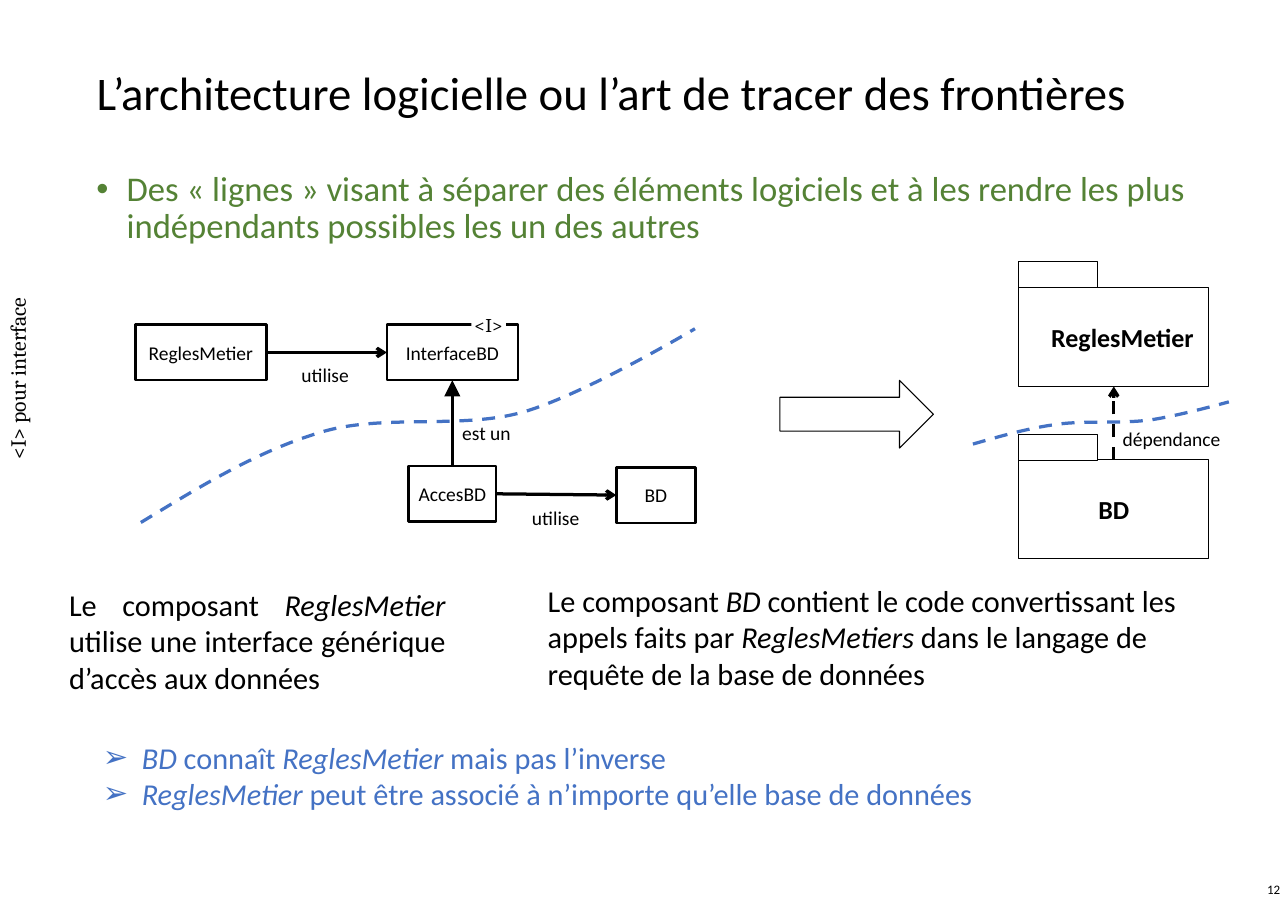
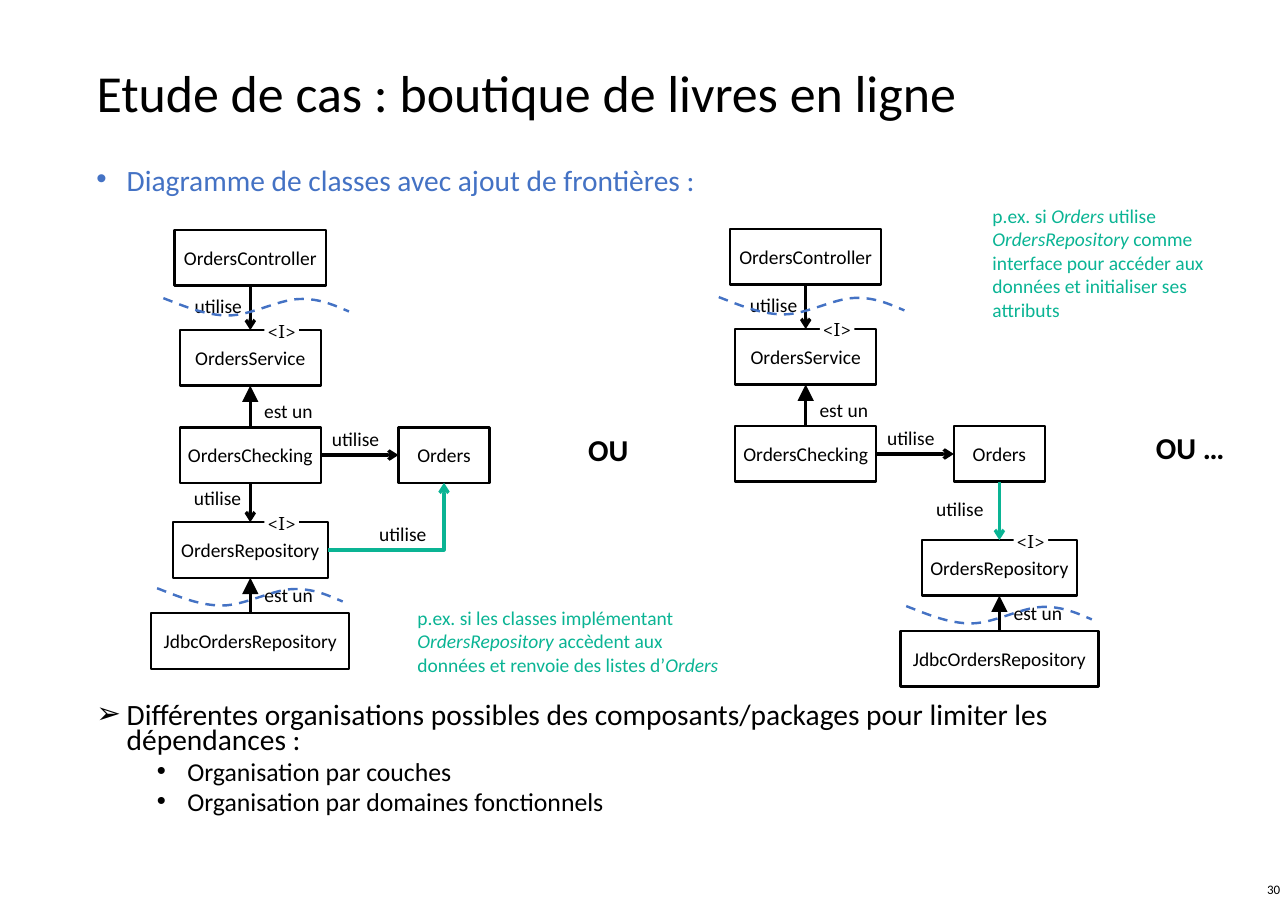
"""Builds two slides on software boundaries drawn as class diagrams."""
from pptx import Presentation
from pptx import util as u
from pptx.dml.color import RGBColor
from pptx.enum import dml, shapes, text
from pptx.oxml.ns import qn
from lxml import etree

COLOURS = {"black": "000000", "white": "FFFFFF", "green": "548235",
           "blue": "4472C4", "teal": "0AB494"}
LEFT, CENTRE, RIGHT, JUSTIFY = (text.PP_ALIGN.LEFT, text.PP_ALIGN.CENTER,
                                text.PP_ALIGN.RIGHT, text.PP_ALIGN.JUSTIFY)
MIDDLE = text.MSO_ANCHOR.MIDDLE
NO_MARGINS = dict.fromkeys(("margin_left", "margin_top", "margin_right", "margin_bottom"), 0)
TOP_SITE, LEFT_SITE, BOTTOM_SITE, RIGHT_SITE = range(4)
RISE = [(0, 1), (.11, .81), (.21, .63), (.33, .53), (.44, .44),
        (.58, .52), (.69, .43), (.8, .34), (1, 0), (1, 0)]
WAVE = [(0, 0), (.12, .5), (.23, 1), (.35, 1), (.47, 1),
        (.62, .09), (.73, .05), (.84, 0), (.92, .41), (1, .77)]


def write(shape, lines, size, colour="black", font=None, layout=None, frame=None, bullet=None):
    """Append paragraphs; asterisks enclose italics, bullet is (sign, margin, hang)."""
    text_frame = shape.text_frame
    for name, value in {"word_wrap": True, **(frame or {})}.items():
        setattr(text_frame, name, value)
    for line in lines:
        paragraph = text_frame.paragraphs[-1]
        if paragraph.runs:
            paragraph = text_frame.add_paragraph()
        for name, value in {"alignment": LEFT, **(layout or {})}.items():
            setattr(paragraph, name, value)
        if bullet:
            sign, margin, hang = bullet
            properties = paragraph._p.get_or_add_pPr()
            properties.set("marL", str(int(u.Pt(margin))))
            properties.set("indent", str(int(u.Pt(-hang))))
            etree.SubElement(properties, qn("a:buFont")).set("typeface", "Arial")
            etree.SubElement(properties, qn("a:buChar")).set("char", sign)
        for index, part in enumerate(line.split("*")):
            if part:
                run = paragraph.add_run()
                run.text = part
                values = {"name": "Calibri", "size": u.Pt(size), "italic": index % 2 == 1}
                for name, value in {**values, **(font or {})}.items():
                    setattr(run.font, name, value)
                run.font.color.rgb = RGBColor.from_string(COLOURS[colour])


def add_box(slide, left, top, width, height, line_width=0, kind=shapes.MSO_SHAPE.RECTANGLE):
    """Add a white shape, outlined in black when a line width is given."""
    shape = slide.shapes.add_shape(kind, *map(u.Pt, (left, top, width, height)))
    shape.shadow.inherit = False
    shape.fill.solid()
    shape.fill.fore_color.rgb = RGBColor.from_string(COLOURS["white"])
    if line_width:
        shape.line.color.rgb = RGBColor.from_string(COLOURS["black"])
        shape.line.width = u.Pt(line_width)
    else:
        shape.line.fill.background()
    return shape


presentation = Presentation()
presentation.slide_width, presentation.slide_height = u.Pt(1190.16), u.Pt(841.68)

slides = []
for title, size, number in [
    ("L’architecture logicielle ou l’art de tracer des frontières", 43.2, "12"),
    ("Etude de cas : boutique de livres en ligne", 48, "30"),
]:
    slide = presentation.slides.add_slide(presentation.slide_layouts[5])
    slides.append(slide)
    heading = slide.shapes.title
    heading.left, heading.top, heading.width, heading.height = map(u.Pt, (82, 44.6, 1026.7, 87.8))
    write(heading, [title], size, layout={"line_spacing": .9},
          frame={"vertical_anchor": MIDDLE, "auto_size": text.MSO_AUTO_SIZE.NONE})
    footer = slide.shapes.add_textbox(*map(u.Pt, (922.3, 799.2, 267.8, 44.6)))
    write(footer, [number], 12, layout={"alignment": RIGHT}, frame={"vertical_anchor": MIDDLE})
boundaries, bookshop = slides

database = {
    "boxes": [("ReglesMetier", 185.6, 300, 121, None), ("InterfaceBD", 418, 300, 121, 17.5),
              ("AccesBD", 418, 430.6, 81, None), ("BD", 606, 431.8, 73, None)],
    "labels": [("utilise", 271.5, 332), ("utilise", 484.5, 464), ("est un", 420, 385)],
    "curves": [(RISE, 130.2, 303.7, 512, 179, 3)],
}
packages = {
    "boxes": [("ReglesMetier", 1029.2, 265.7, 175.7, None), ("BD", 1029.2, 424.8, 175.7, None)],
    "labels": [("dépendance", 1030.3, 391)],
    "curves": [(RISE, 899, 371.3, 236.5, 39, 3)],
}
orders = {
    "boxes": [("OrdersController", 231.3, 212.5, 139.7, None),
              ("OrdersService", 231.3, 305, 130.2, 13),
              ("OrdersChecking", 231.3, 394.8, 130.2, None), ("Orders", 410.3, 394.8, 84.2, None)],
    "labels": [("utilise", 172.7, 268.5), ("est un", 237, 365), ("utilise", 299.5, 391)],
    "curves": [(WAVE, 151, 275.5, 171.5, 16, 2.25)],
}
repository = {
    "boxes": [("OrdersRepository", 231.3, 482.5, 143.3, 13),
              ("JdbcOrdersRepository", 231.3, 566.6, 183, None)],
    "labels": [("est un", 237.3, 535.5)],
    "curves": [(WAVE, 145.2, 543.5, 171.5, 16, 2.25)],
}
left_labels = {"boxes": [], "labels": [("utilise", 172, 445.7), ("utilise", 343.2, 479)],
               "curves": []}
right_labels = {"boxes": [], "labels": [("utilise", 858, 455.8)], "curves": []}

order_links = [
    ("OrdersController", BOTTOM_SITE, "OrdersService", TOP_SITE, "arrow", "black"),
    ("OrdersChecking", TOP_SITE, "OrdersService", BOTTOM_SITE, "triangle", "black"),
    ("OrdersChecking", RIGHT_SITE, "Orders", LEFT_SITE, "arrow", "black"),
    ("JdbcOrdersRepository", TOP_SITE, "OrdersRepository", BOTTOM_SITE, "triangle", "black"),
]
class_style = {"height": 51.3, "line": 2.25, "size": 18, "bold": False, "dash": None}
package_style = {"height": 91.4, "line": 1, "size": 24, "bold": True, "dash": dml.MSO_LINE.DASH}

diagrams = [
    (boundaries, class_style, [(0, 0, database)], [
        ("ReglesMetier", RIGHT_SITE, "InterfaceBD", LEFT_SITE, "arrow", "black"),
        ("AccesBD", RIGHT_SITE, "BD", LEFT_SITE, "arrow", "black"),
        ("AccesBD", TOP_SITE, "InterfaceBD", BOTTOM_SITE, "triangle", "black")]),
    (boundaries, package_style, [(0, 0, packages)], [
        ("BD", TOP_SITE, "ReglesMetier", BOTTOM_SITE, "arrow", "black")]),
    (bookshop, class_style, [(0, 0, orders), (0, 0, repository), (0, 0, left_labels)],
     order_links + [
        ("OrdersChecking", BOTTOM_SITE, "OrdersRepository", TOP_SITE, "arrow", "black"),
        ("OrdersRepository", RIGHT_SITE, "Orders", BOTTOM_SITE, "arrow", "teal")]),
    (bookshop, class_style, [(513.2, -1, orders), (692.2, 16.5, repository), (0, 0, right_labels)],
     order_links + [
        ("Orders", BOTTOM_SITE, "OrdersRepository", TOP_SITE, "arrow", "teal")]),
]

for slide, style, parts, links in diagrams:
    boxes = {}
    for dx, dy, part in parts:
        for name, centre, top, width, tag_offset in part["boxes"]:
            box = add_box(slide, centre - width / 2 + dx, top + dy, width,
                          style["height"], style["line"])
            write(box, [name], style["size"], font={"bold": style["bold"]},
                  layout={"alignment": CENTRE}, frame={**NO_MARGINS, "vertical_anchor": MIDDLE})
            boxes[name] = box
            if tag_offset:
                tag = add_box(slide, centre + tag_offset + dx, top - 10.6 + dy, 32, 21.6)
                write(tag, ["<I>"], 18, font={"name": "Cambria"}, layout={"alignment": CENTRE},
                      frame={**NO_MARGINS, "vertical_anchor": text.MSO_ANCHOR.TOP})

    for begin, begin_site, end, end_site, head, colour in links:
        bent = begin_site == RIGHT_SITE and end_site == BOTTOM_SITE
        kind = shapes.MSO_CONNECTOR.ELBOW if bent else shapes.MSO_CONNECTOR.STRAIGHT
        connector = slide.shapes.add_connector(kind, 0, 0, 0, 0)
        connector.begin_connect(boxes[begin], begin_site)
        connector.end_connect(boxes[end], end_site)
        connector.line.color.rgb = RGBColor.from_string(COLOURS[colour])
        connector.line.width = u.Pt(3)
        if style["dash"]:
            connector.line.dash_style = style["dash"]
        properties = connector.element.spPr
        if bent:
            properties.find(qn("a:prstGeom")).set("prst", "bentConnector2")
        tail = etree.SubElement(properties.find(qn("a:ln")), qn("a:tailEnd"))
        tail.set("type", head)
        if head == "triangle":
            tail.set("w", "lg")
            tail.set("len", "lg")
        etree.SubElement(properties, qn("a:effectLst"))

    for dx, dy, part in parts:
        for label, left, top in part["labels"]:
            width = 106 if label == "dépendance" else 59
            label_box = slide.shapes.add_textbox(*map(u.Pt, (left + dx, top + dy, width, 29)))
            write(label_box, [label], 18, frame={"word_wrap": False})
        for controls, left, top, width, height, line_width in part["curves"]:
            points = [(u.Pt(left + dx + x * width), u.Pt(top + dy + y * height))
                      for x, y in controls]
            builder = slide.shapes.build_freeform(*points[0])
            builder.add_line_segments(points[1:], close=False)
            curve = builder.convert_to_shape()
            segments = list(curve.element.spPr.iter(qn("a:lnTo")))
            outline = segments[0].getparent()
            for start in range(0, len(segments), 3):
                bezier = etree.SubElement(outline, qn("a:cubicBezTo"))
                for segment in segments[start:start + 3]:
                    bezier.append(segment[0])
                    outline.remove(segment)
            curve.shadow.inherit = False
            curve.fill.background()
            curve.line.color.rgb = RGBColor.from_string(COLOURS["blue"])
            curve.line.width = u.Pt(line_width)
            curve.line.dash_style = dml.MSO_LINE.DASH
    if style is package_style:
        boxes["ReglesMetier"].text_frame.margin_left = u.Pt(16)
        for name, centre, top, width, tag_offset in packages["boxes"]:
            add_box(slide, centre - width / 2, top - 23.7, 72.7, 24, 1,
                    shapes.MSO_SHAPE.FLOWCHART_PROCESS)

add_box(boundaries, 720.7, 351.4, 141.8, 62.6, 1, shapes.MSO_SHAPE.RIGHT_ARROW)

interface_note = boundaries.shapes.add_textbox(*map(u.Pt, (-67, 329.2, 166.3, 24.5)))
interface_note.rotation = 270
write(interface_note, ["<I> pour interface"], 20, font={"name": "Cambria"}, frame=NO_MARGINS)

for slide, place, lines, size, colour, options in [
    (boundaries, (82, 154.8, 1026.7, 80),
     ["Des «\u00a0lignes\u00a0» visant à séparer des éléments logiciels et à les rendre les plus "
      "indépendants possibles les un des autres"], 32, "green",
     {"bullet": ("•", 28, 28), "layout": {"line_spacing": .9}}),
    (boundaries, (499, 534.2, 600, 109),
     ["Le composant *BD* contient le code convertissant les appels faits par *ReglesMetiers* "
      "dans le langage de requête de la base de données"], 28, "black", {}),
    (boundaries, (56.7, 538, 362, 109),
     ["Le composant *ReglesMetier* utilise une interface générique d’accès aux données"],
     28, "black", {"layout": {"alignment": JUSTIFY}}),
    (boundaries, (88, 679, 904, 75),
     ["*BD* connaît *ReglesMetier* mais pas l’inverse",
      "*ReglesMetier* peut être associé à n’importe qu’elle base de données"],
     28, "blue", {"bullet": ("➢", 36, 36)}),
    (bookshop, (82, 154.8, 1026.7, 34),
     ["Diagramme de classes avec ajout de frontières :"], 27.2, "blue",
     {"bullet": ("•", 28, 28), "layout": {"line_spacing": .7}}),
    (bookshop, (536.4, 394.6, 52, 41), ["OU"], 28, "black",
     {"font": {"bold": True}, "frame": {"word_wrap": False}}),
    (bookshop, (1061, 393, 81, 41), ["OU …"], 28, "black",
     {"font": {"bold": True}, "frame": {"word_wrap": False}}),
    (bookshop, (378.7, 556.2, 299.5, 73),
     ["p.ex. si les classes implémentant *OrdersRepository* accèdent aux données "
      "et renvoie des listes d’*Orders*"], 18, "teal", {}),
    (bookshop, (910, 185, 245, 117),
     ["p.ex. si *Orders* utilise *OrdersRepository* comme interface pour accéder aux données "
      "et initialiser ses attributs"], 18, "teal", {}),
]:
    write(slide.shapes.add_textbox(*map(u.Pt, place)), lines, size, colour, **options)

conclusion = bookshop.shapes.add_textbox(*map(u.Pt, (82, 648.8, 1026.7, 120)))
write(conclusion, ["Différentes organisations possibles des composants/packages pour limiter les "
                   "dépendances :"], 27.2, layout={"line_spacing": .7}, bullet=("➢", 28, 28))
write(conclusion, ["Organisation par couches", "Organisation par domaines fonctionnels"], 23.8,
      layout={"level": 1, "line_spacing": .7, "space_before": u.Pt(7.8)}, bullet=("•", 84, 28))

presentation.save("out.pptx")
